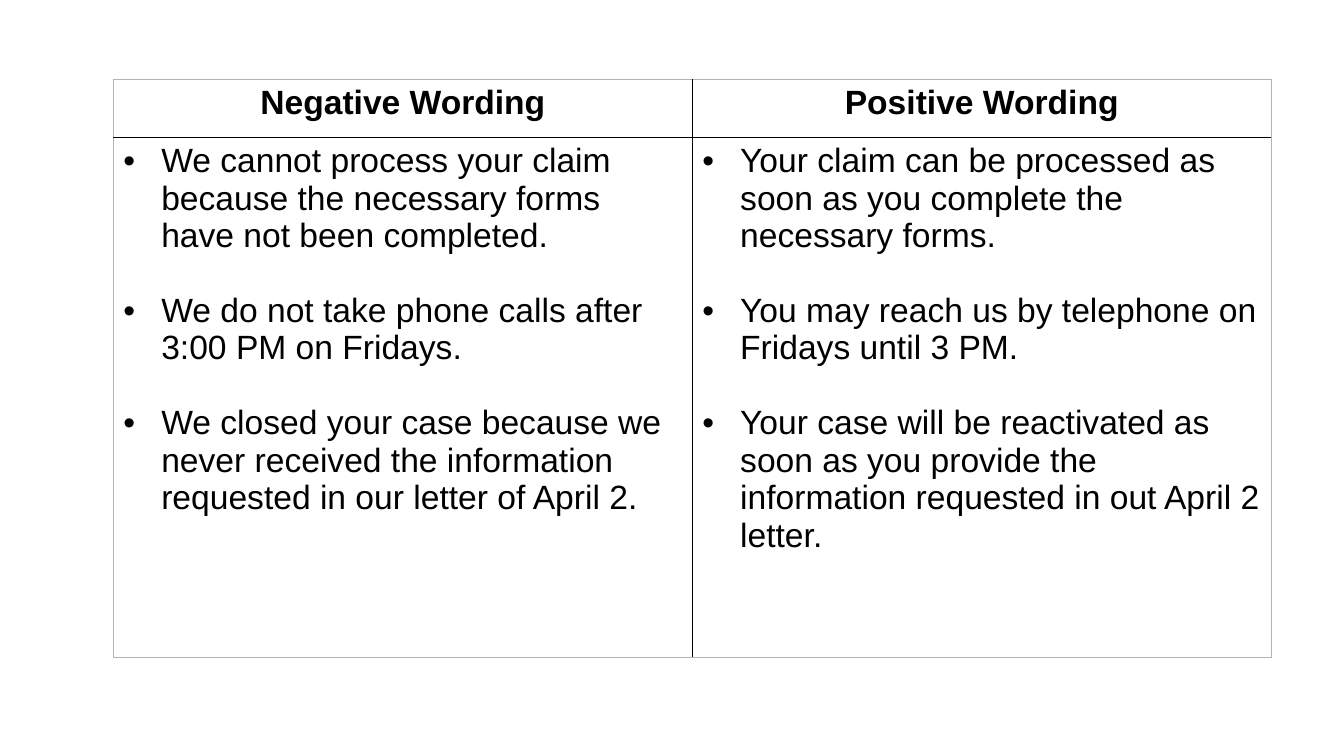
"""Build a slide with a two-column table of negative and positive wording."""
from lxml import etree
from pptx import Presentation
from pptx.dml.color import RGBColor
from pptx.enum import text
from pptx.oxml import ns
from pptx.util import Pt

COLUMNS = {
    "Negative Wording": [
        "We cannot process your claim because the necessary forms have not been completed.",
        "We do not take phone calls after 3:00 PM on Fridays.",
        "We closed your case because we never received the information requested in our letter of April 2.",
    ],
    "Positive Wording": [
        "Your claim can be processed as soon as you complete the necessary forms.",
        "You may reach us by telephone on Fridays until 3 PM.",
        "Your case will be reactivated as soon as you provide the information requested in out April 2 letter.",
    ],
}
BLACK = RGBColor(0x00, 0x00, 0x00)
GREY = RGBColor(0xB4, 0xB4, 0xB4)
WHITE = RGBColor(0xFF, 0xFF, 0xFF)
LEFT, TOP, COLUMN_WIDTH = 81, 56.7, 413.5
ROW_HEIGHTS = (41.3, 371.7)
INDENT, GAP = 27, 26.8


def write(para, words, bold=False, align=text.PP_ALIGN.LEFT, bullet=False, before=0):
    """Put formatted words in a paragraph."""
    para.alignment = align
    para.space_before = Pt(before)
    if bullet:
        props = para._p.get_or_add_pPr()
        props.set("marL", str(Pt(INDENT)))
        props.set("indent", str(Pt(-INDENT)))
        etree.SubElement(props, ns.qn("a:buFont")).set("typeface", "Arial")
        etree.SubElement(props, ns.qn("a:buChar")).set("char", "•")
    span = para.add_run()
    span.text = words
    span.font.name = "Arial"
    span.font.size = Pt(24)
    span.font.bold = bold
    span.font.color.rgb = BLACK


def draw_borders(cell, inner_sides):
    """Draw black rules on the inner sides and thin grey ones on the rest."""
    props = cell._tc.get_or_add_tcPr()
    for side in "LRTB":
        inner = side in inner_sides
        line = etree.SubElement(props, ns.qn(f"a:ln{side}"), w=str(Pt(1 if inner else 0.5)))
        fill = etree.SubElement(line, ns.qn("a:solidFill"))
        etree.SubElement(fill, ns.qn("a:srgbClr"), val=str(BLACK if inner else GREY))


def main():
    """Create the deck and save it."""
    deck = Presentation()
    deck.slide_width, deck.slide_height = Pt(960), Pt(540)
    page = deck.slides.add_slide(deck.slide_layouts[6])
    frame = page.shapes.add_table(
        len(ROW_HEIGHTS), len(COLUMNS), Pt(LEFT), Pt(TOP),
        Pt(COLUMN_WIDTH * len(COLUMNS)), Pt(sum(ROW_HEIGHTS)))
    table = frame.table
    table.first_row = table.horz_banding = False
    for row, height in zip(table.rows, ROW_HEIGHTS):
        row.height = Pt(height)
    for col, (heading, examples) in enumerate(COLUMNS.items()):
        table.columns[col].width = Pt(COLUMN_WIDTH)
        head, body = table.cell(0, col), table.cell(1, col)
        write(head.text_frame.paragraphs[0], heading, bold=True, align=text.PP_ALIGN.CENTER)
        for index, example in enumerate(examples):
            box = body.text_frame
            para = box.add_paragraph() if index else box.paragraphs[0]
            write(para, example, bullet=True, before=GAP if index else 0)
        for cell, row_side in ((head, "B"), (body, "T")):
            draw_borders(cell, "RL"[col] + row_side)
            cell.fill.solid()
            cell.fill.fore_color.rgb = WHITE
    deck.save("out.pptx")


if __name__ == "__main__":
    main()
